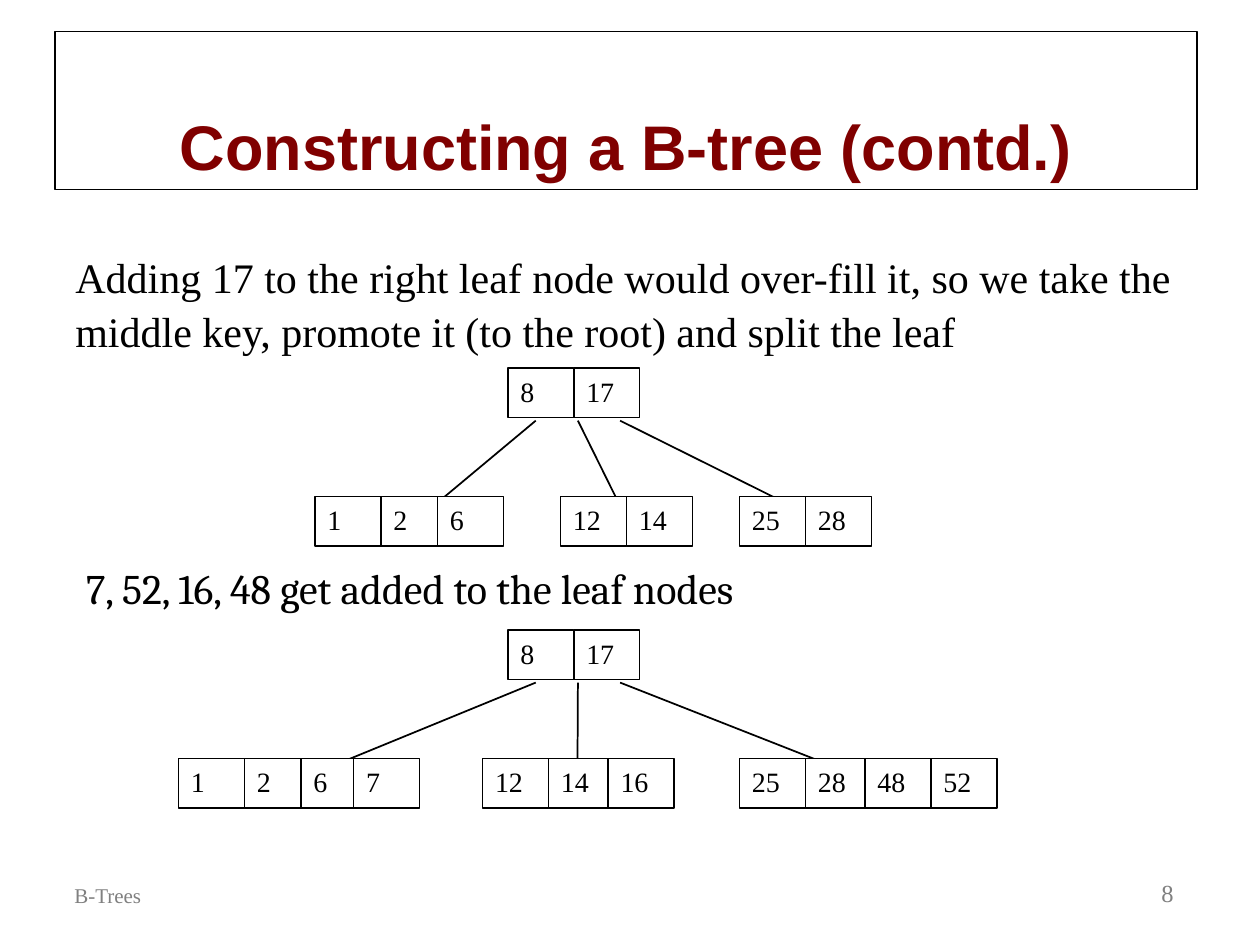
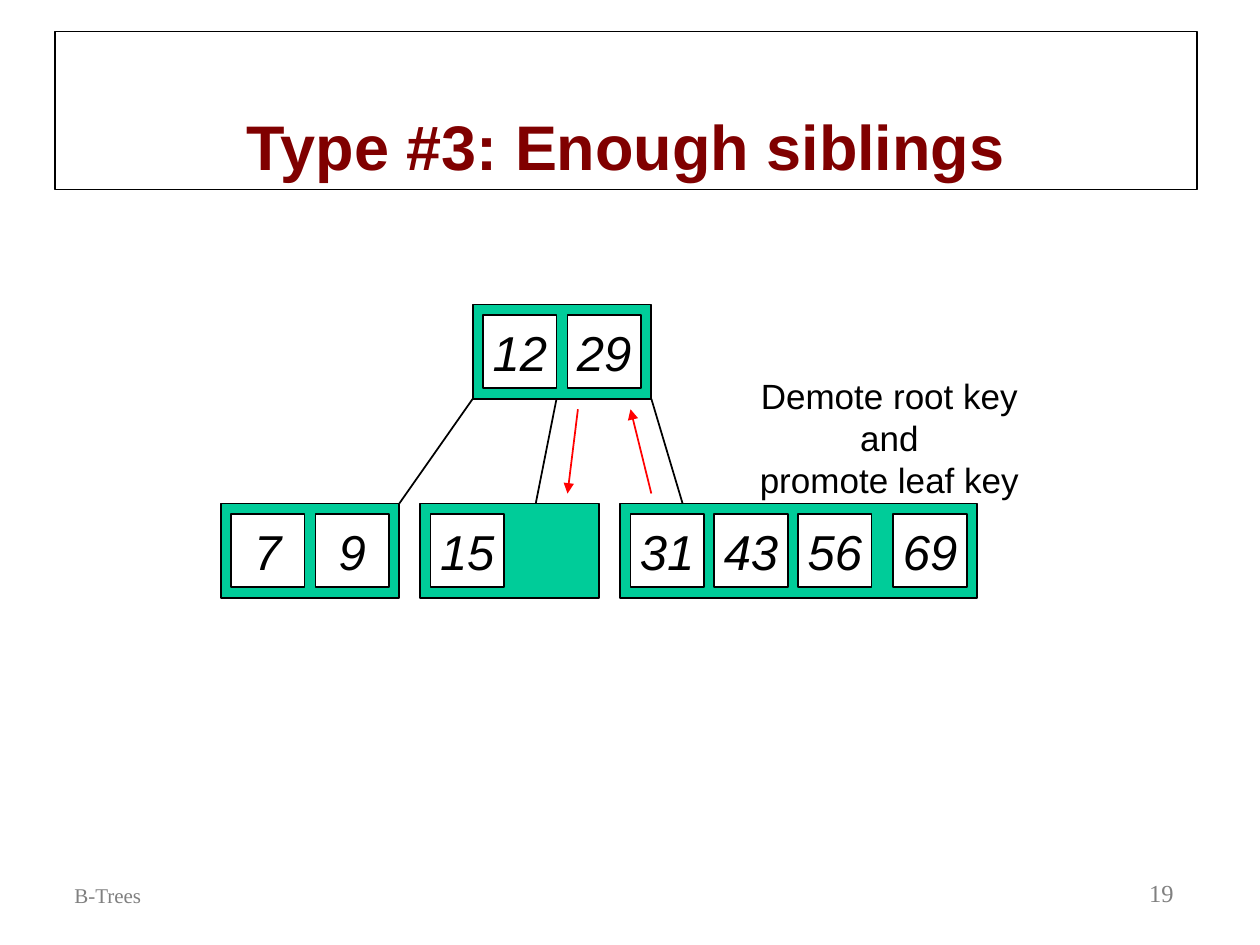
from collections import namedtuple
from itertools import accumulate

from lxml.etree import SubElement
from pptx import Presentation
from pptx.dml.color import RGBColor
from pptx.enum.shapes import MSO_CONNECTOR, MSO_SHAPE
from pptx.enum.text import MSO_ANCHOR, MSO_AUTO_SIZE, PP_ALIGN
from pptx.oxml.ns import qn
from pptx.util import Cm, Pt

BLACK = RGBColor(0x00, 0x00, 0x00)
WHITE = RGBColor(0xFF, 0xFF, 0xFF)
MAROON = RGBColor(0x80, 0x00, 0x00)
GREY = RGBColor(0x80, 0x80, 0x80)
GREEN = RGBColor(0x00, 0xCC, 0x99)
RED = RGBColor(0xFF, 0x00, 0x00)

SERIF = "Times New Roman"
SANS = "Arial"

CELL_W, CELL_H = 1.33, 1.0
ROOT_LEFT, LEAF_DROP = 6.64, 2.59
BRANCH_START, BRANCH_STEP, BRANCH_TOP = 0.56, 0.85, 1.06

KEY, PAD, KEY_STEP = 1.48, 0.21, 1.69
NODE_W, NODE_H, LEVEL_DROP = 3.6, 1.9, 4.01

Leaf = namedtuple("Leaf", "left keys steps branch_end")


def format_paragraph(p, font, size, color=BLACK, bold=False, italic=False, align=PP_ALIGN.LEFT):
    p.alignment = align
    p.font.name = font
    p.font.size = Pt(size)
    p.font.color.rgb = color
    p.font.bold = bold
    p.font.italic = italic


def add_text(s, box, lines, font, size, color=BLACK, align=PP_ALIGN.LEFT, anchor=MSO_ANCHOR.TOP):
    tf = s.shapes.add_textbox(*map(Cm, box)).text_frame
    tf.word_wrap = True
    tf.vertical_anchor = anchor
    tf.text = "\n".join(lines)
    for p in tf.paragraphs:
        format_paragraph(p, font, size, color, align=align)
    return tf


def add_rect(s, box, fill, weight):
    sp = s.shapes.add_shape(MSO_SHAPE.RECTANGLE, *map(Cm, box))
    sp.shadow.inherit = False
    sp.fill.solid()
    sp.fill.fore_color.rgb = fill
    sp.line.color.rgb = BLACK
    sp.line.width = Pt(weight)
    return sp


def add_line(s, start, end, color=BLACK, arrow=False):
    line = s.shapes.add_connector(MSO_CONNECTOR.STRAIGHT, *map(Cm, (*start, *end)))
    line.line.color.rgb = color
    line.line.width = Pt(1)
    if arrow:
        SubElement(line.line._get_or_add_ln(), qn("a:tailEnd"), type="triangle")
    SubElement(line._element.spPr, qn("a:effectLst"))


def add_titled_slide(prs, title, number):
    s = prs.slides.add_slide(prs.slide_layouts[5])
    sp = s.shapes.title
    sp.left, sp.top, sp.width, sp.height = map(Cm, (1.11, 0.64, 23.02, 3.18))
    sp.line.color.rgb = BLACK
    sp.line.width = Pt(0.75)
    tf = sp.text_frame
    tf.text = title
    tf.auto_size = MSO_AUTO_SIZE.NONE
    tf.vertical_anchor = MSO_ANCHOR.BOTTOM
    format_paragraph(tf.paragraphs[0], SANS, 36, MAROON, bold=True, align=PP_ALIGN.CENTER)
    add_text(s, (1.25, 17.15, 7.62, 1.27), ["B-Trees"], SERIF, 12, GREY, anchor=MSO_ANCHOR.BOTTOM)
    add_text(s, (18.63, 17.15, 5.28, 1.27), [str(number)], SERIF, 14, GREY,
             PP_ALIGN.RIGHT, MSO_ANCHOR.BOTTOM)
    return s


def add_cells(s, left, top, keys, steps):
    for key, x in zip(keys, accumulate(steps, initial=left)):
        tf = add_rect(s, (x, top, CELL_W, CELL_H), WHITE, 0.75).text_frame
        tf.vertical_anchor = MSO_ANCHOR.TOP
        tf.text = str(key)
        format_paragraph(tf.paragraphs[0], SERIF, 16)


def add_cell_tree(s, left, top, leaves):
    root_left = left + ROOT_LEFT
    for i, leaf in enumerate(leaves):
        x, y = leaf.branch_end
        add_line(s, (root_left + BRANCH_START + i * BRANCH_STEP, top + BRANCH_TOP),
                 (left + x, top + y))
    add_cells(s, root_left, top, (8, 17), [CELL_W])
    for leaf in leaves:
        add_cells(s, left + leaf.left, top + LEAF_DROP, leaf.keys, leaf.steps)


def add_key_node(s, left, top, keys, width=NODE_W):
    add_rect(s, (left, top, width, NODE_H), GREEN, 1)
    offsets = [PAD + i * KEY_STEP for i in range(len(keys))]
    if len(keys) > 1:
        offsets[-1] = width - PAD - KEY
    for key, x in zip(keys, offsets):
        tf = add_rect(s, (left + x, top + PAD, KEY, KEY), WHITE, 1).text_frame
        tf.word_wrap = False
        tf.vertical_anchor = MSO_ANCHOR.MIDDLE
        tf.text = str(key)
        format_paragraph(tf.paragraphs[0], SANS, 28, italic=True, align=PP_ALIGN.CENTER)


def add_key_tree(s, left, top):
    add_key_node(s, left + 5.08, top, (12, 29))
    leaf_top = top + LEVEL_DROP
    add_key_node(s, left, leaf_top, (7, 9))
    add_key_node(s, left + 4.02, leaf_top, (15,))
    add_key_node(s, left + 8.05, leaf_top, (31, 43, 56, 69), 2 * NODE_W)
    for root_x, leaf_x in ((5.08, 3.6), (6.77, 6.35), (8.68, 9.31)):
        add_line(s, (left + root_x, top + NODE_H), (left + leaf_x, leaf_top))
    upper, lower = top + 2.11, top + 3.81
    add_line(s, (left + 8.68, lower), (left + 8.26, upper), RED, arrow=True)
    add_line(s, (left + 7.2, upper), (left + 6.99, lower), RED, arrow=True)
    tf = add_text(s, (left + 9.95, top + 1.69, 7.06, 1.96),
                  ["Demote root key and", "promote leaf key"], SANS, 20,
                  align=PP_ALIGN.CENTER, anchor=MSO_ANCHOR.MIDDLE)
    tf.margin_left = tf.margin_right = Cm(0.4)


def build_constructing(prs):
    s = add_titled_slide(prs, "Constructing a B-tree (contd.)", 8)
    tf = add_text(s, (1.27, 4.88, 23.29, 2.29),
                  ["Adding 17 to the right leaf node would over-fill it, so we take the "
                   "middle key, promote it (to the root) and split the leaf"], SERIF, 24)
    tf.paragraphs[0].line_spacing = 1.07
    add_cell_tree(s, 3.6, 7.42, [
        Leaf(2.75, (1, 2, 6), (CELL_W, 1.14), (4.66, 3.18)),
        Leaf(7.7, (12, 14), (CELL_W,), (9.1, 3.18)),
        Leaf(11.31, (25, 28), (CELL_W,), (12.7, 2.95)),
    ])
    add_text(s, (1.48, 11.22, 22.86, 1.27), ["7, 52, 16, 48 get added to the leaf nodes"],
             "Cambria", 24)
    add_cell_tree(s, 3.6, 12.7, [
        Leaf(0, (1, 2, 6, 7), (CELL_W, 1.14, 1.06), (2.54, 2.97)),
        Leaf(6.13, (12, 14, 16), (CELL_W, 1.2), (8.04, 3.18)),
        Leaf(11.31, (25, 28, 48, 52), (CELL_W, 1.2, CELL_W), (13.76, 2.97)),
    ])


def build_siblings(prs):
    s = add_titled_slide(prs, "Type #3: Enough siblings", 19)
    add_key_tree(s, 4.45, 6.14)


def main():
    prs = Presentation()
    prs.slide_width, prs.slide_height = Cm(25.4), Cm(19.05)
    build_constructing(prs)
    build_siblings(prs)
    prs.save("out.pptx")


if __name__ == "__main__":
    main()
